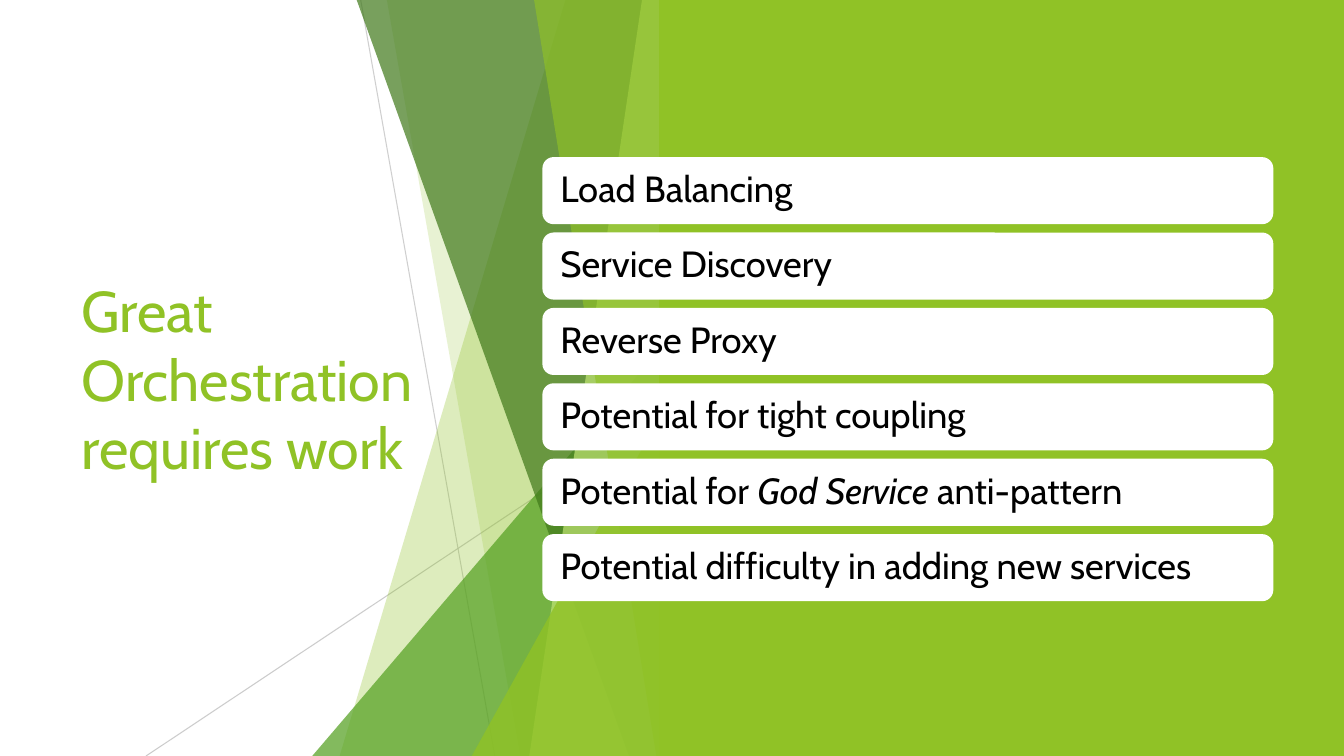
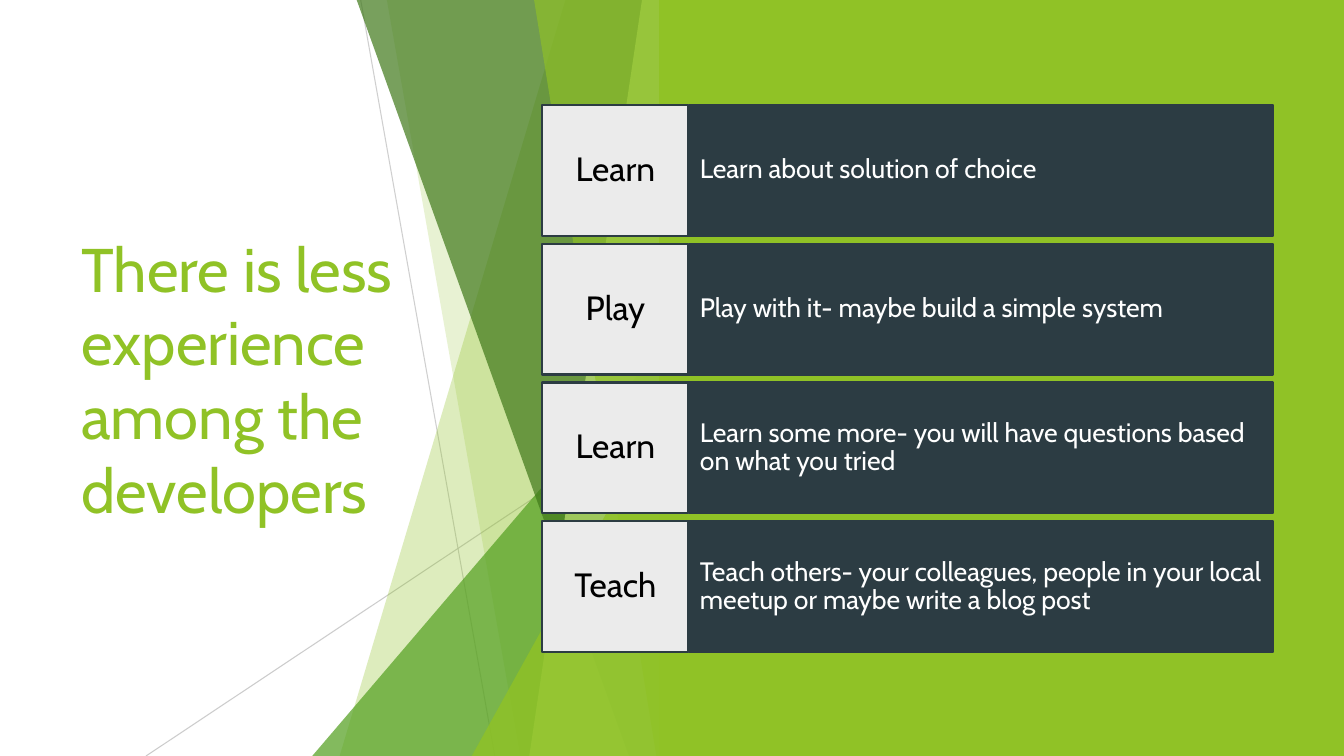
from lxml.etree import SubElement
from pptx import Presentation
from pptx.dml.color import RGBColor
from pptx.enum.shapes import MSO_CONNECTOR, MSO_SHAPE
from pptx.enum.text import MSO_ANCHOR, MSO_AUTO_SIZE, PP_ALIGN
from pptx.oxml.ns import qn
from pptx.util import Cm, Pt

FONT = "Cabin"
LIME, LEAF, FOREST, PALE = "90C226", "54A021", "3F7819", "C0E474"
SLATE, MIST, RAY = "2C3C43", "EBEBEB", "BFBFBF"
WHITE, BLACK = "FFFFFF", "000000"

SLIDE_WIDTH, SLIDE_HEIGHT = 33.87, 19.05
PANEL_LEFT, FACET_RIGHT = 16.61, 16.92
CONTENT_LEFT, CONTENT_WIDTH = 13.67, 18.42
LABEL_WIDTH = 3.68

RAYS = [
    (9.09, 0, 12.47, SLIDE_HEIGHT, 75),
    (FACET_RIGHT, 10.24, 3.68, SLIDE_HEIGHT, 80),
]
BACK_FACETS = [(14.25, 8.56, LIME, 30), (9.75, 13.11, LIME, 20)]
FRONT_FACETS = [
    (8.99, 15.85, FOREST, 70),
    (16.18, 13.34, PALE, 70),
    (13.46, 16.54, LIME, 65),
]

REQUIREMENTS = [
    "Load Balancing",
    "Service Discovery",
    "Reverse Proxy",
    "Potential for tight coupling",
    "Potential for God Service anti-pattern",
    "Potential difficulty in adding new services",
]
STEPS = [
    ("Learn", "Learn about solution of choice"),
    ("Play", "Play with it- maybe build a simple system"),
    ("Learn", "Learn some more- you will have questions based on what you tried"),
    ("Teach", "Teach others- your colleagues, people in your local meetup "
              "or maybe write a blog post"),
]


def rgb(code):
    return RGBColor.from_string(code)


def set_opacity(shape, percent):
    color = next(shape.element.spPr.iter(qn("a:srgbClr")))
    SubElement(color, qn("a:alpha")).set("val", str(percent * 1000))


def paint(shape, fill, opacity=100, border=None):
    shape.shadow.inherit = False
    shape.fill.solid()
    shape.fill.fore_color.rgb = rgb(fill)
    if opacity < 100:
        set_opacity(shape, opacity)
    if border:
        shape.line.color.rgb = rgb(border)
        shape.line.width = Pt(1.5)
    else:
        shape.line.fill.background()


def write(shape, text, size, color, align=PP_ALIGN.LEFT, spacing=0.9,
          inset=0.25, italic=None):
    frame = shape.text_frame
    frame.word_wrap = True
    frame.auto_size = MSO_AUTO_SIZE.NONE
    frame.vertical_anchor = MSO_ANCHOR.MIDDLE
    frame.margin_left = frame.margin_right = Cm(inset)
    paragraph = frame.paragraphs[0]
    paragraph.alignment = align
    paragraph.line_spacing = spacing
    parts = text.partition(italic) if italic else (text,)
    for part in filter(None, parts):
        run = paragraph.add_run()
        run.text = part
        run.font.name = FONT
        run.font.size = Pt(size)
        run.font.color.rgb = rgb(color)
        run.font.italic = part == italic


def add_block(shapes, kind, left, top, width, height, fill, **style):
    block = shapes.add_shape(kind, Cm(left), Cm(top), Cm(width), Cm(height))
    paint(block, fill, **style)
    return block


def add_ray(shapes, x1, y1, x2, y2, opacity):
    ray = shapes.add_connector(MSO_CONNECTOR.STRAIGHT, Cm(x1), Cm(y1), Cm(x2), Cm(y2))
    ray.line.color.rgb = rgb(RAY)
    ray.line.width = Pt(0.75)
    set_opacity(ray, opacity)
    SubElement(ray.element.spPr, qn("a:effectLst"))


def add_facet(shapes, top_x, bottom_x, fill, opacity):
    outline = shapes.build_freeform(Cm(top_x), 0)
    outline.add_line_segments([
        (Cm(FACET_RIGHT), 0),
        (Cm(FACET_RIGHT), Cm(SLIDE_HEIGHT)),
        (Cm(bottom_x), Cm(SLIDE_HEIGHT)),
    ])
    paint(outline.convert_to_shape(), fill, opacity)


def add_corner(shapes, left, top, fill, opacity):
    corner = add_block(shapes, MSO_SHAPE.ISOSCELES_TRIANGLE, left, top,
                       FACET_RIGHT - left, SLIDE_HEIGHT - top, fill, opacity=opacity)
    corner.adjustments[0] = 1


def add_backdrop(slide, layout):
    backdrop = slide.shapes.add_group_shape()
    shapes = backdrop.shapes
    for ray in RAYS:
        add_ray(shapes, *ray)
    for facet in BACK_FACETS:
        add_facet(shapes, *facet)
    add_corner(shapes, 7.87, 8.46, LEAF, 72)
    for facet in FRONT_FACETS:
        add_facet(shapes, *facet)
    add_corner(shapes, 11.89, 9.98, LIME, 80)
    add_block(shapes, MSO_SHAPE.RECTANGLE, PANEL_LEFT, 0,
              SLIDE_WIDTH - PANEL_LEFT, SLIDE_HEIGHT, LIME)
    for properties in backdrop.element.iter(qn("p:cNvPr")):
        properties.set("id", str(int(properties.get("id")) + 100))
    layout.shapes.element.append(backdrop.element)


def add_title(slide, text, size):
    title = slide.shapes.title
    title.left, title.top = Cm(1.8), Cm(3.84)
    title.width, title.height = Cm(9.86), Cm(11.38)
    write(title, text, size, LIME, spacing=1.0)


def add_requirements(slide):
    for row, requirement in enumerate(REQUIREMENTS):
        card = add_block(slide.shapes, MSO_SHAPE.ROUNDED_RECTANGLE, CONTENT_LEFT,
                         3.96 + row * 1.9, CONTENT_WIDTH, 1.69, WHITE)
        write(card, requirement, 26, BLACK, inset=0.37, italic="God Service")


def add_steps(slide):
    for row, (step, explanation) in enumerate(STEPS):
        top = 2.64 + row * 3.5
        detail = add_block(slide.shapes, MSO_SHAPE.RECTANGLE, CONTENT_LEFT + LABEL_WIDTH,
                           top, CONTENT_WIDTH - LABEL_WIDTH, 3.3, SLATE, border=SLATE)
        write(detail, explanation, 19, WHITE, inset=0.29)
        label = add_block(slide.shapes, MSO_SHAPE.RECTANGLE, CONTENT_LEFT, top,
                          LABEL_WIDTH, 3.3, MIST, border=SLATE)
        write(label, step, 24, BLACK, align=PP_ALIGN.CENTER, inset=0.2)


def main():
    deck = Presentation()
    deck.slide_width, deck.slide_height = Cm(SLIDE_WIDTH), Cm(SLIDE_HEIGHT)
    layout = deck.slide_layouts.get_by_name("Title Only")

    orchestration = deck.slides.add_slide(layout)
    add_backdrop(orchestration, layout)
    add_title(orchestration, "Great Orchestration requires work", 41)
    add_requirements(orchestration)

    experience = deck.slides.add_slide(layout)
    add_title(experience, "There is less experience among the developers", 44)
    add_steps(experience)

    deck.save("out.pptx")


if __name__ == "__main__":
    main()
